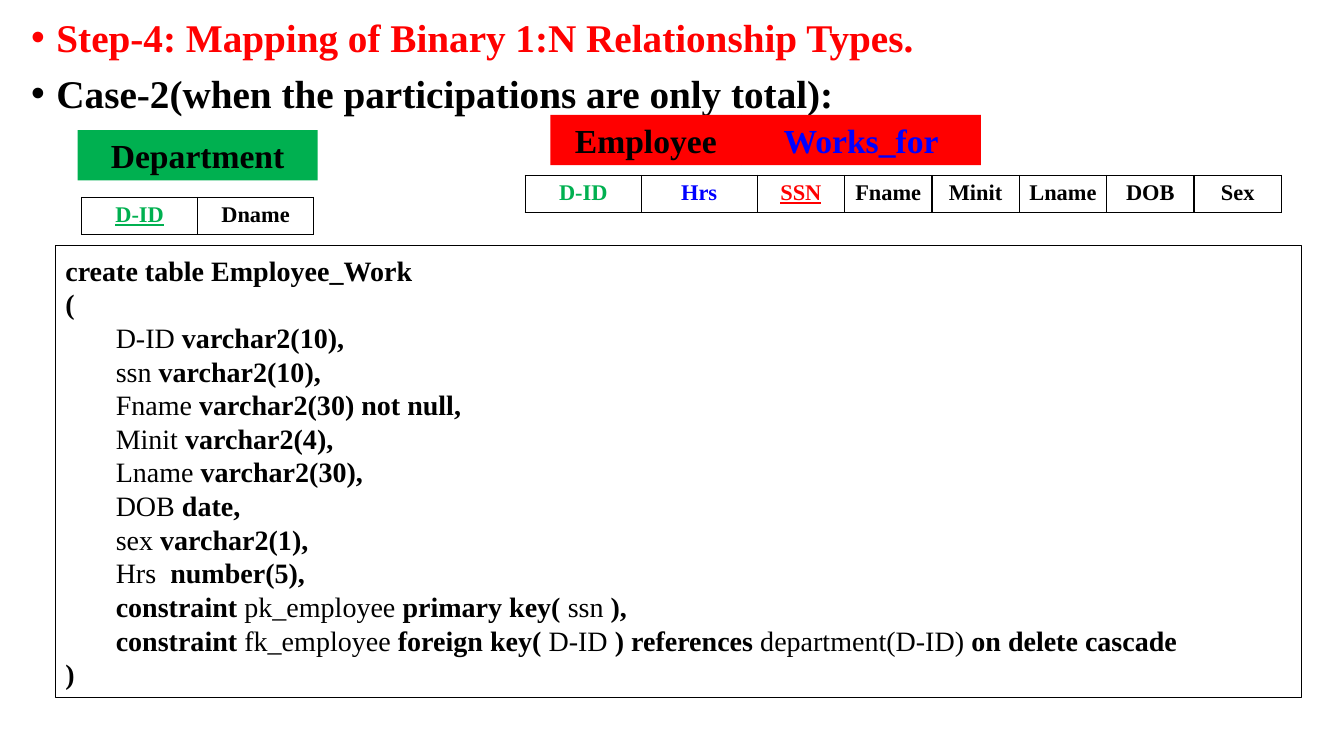
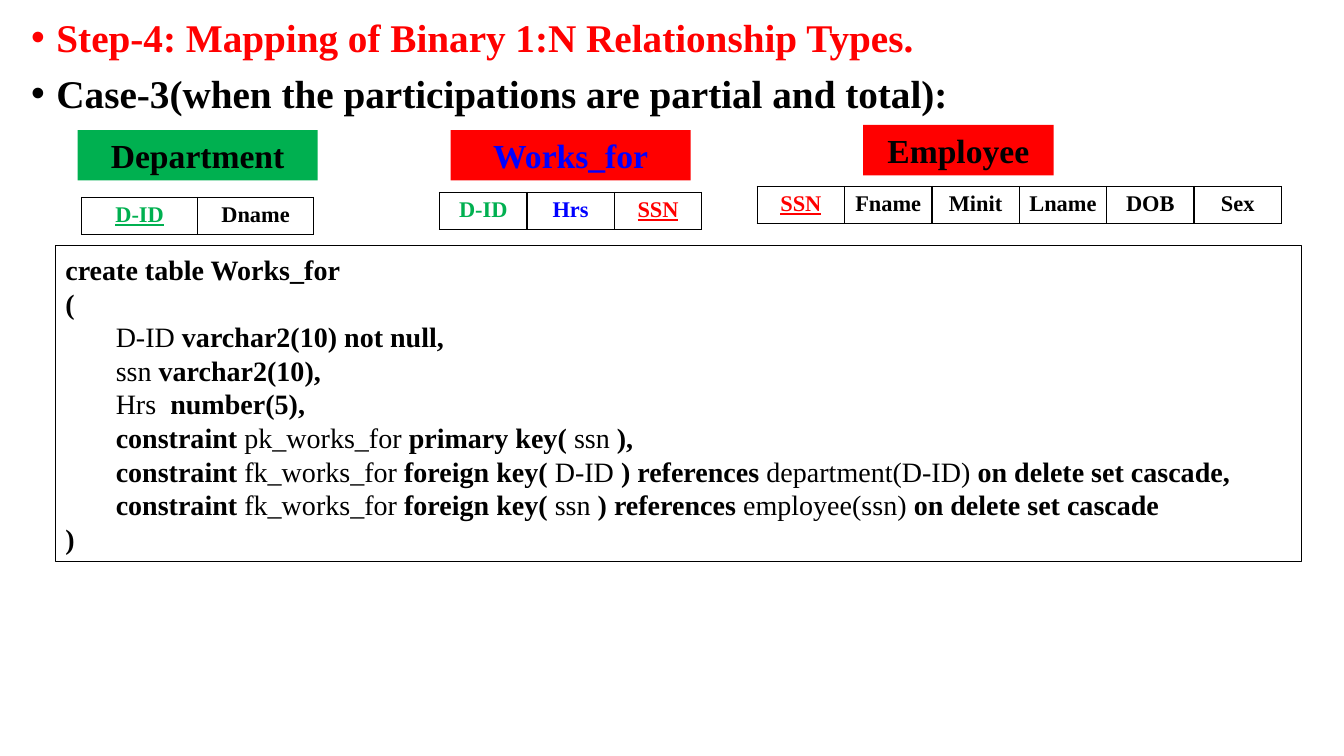
from dataclasses import dataclass

from lxml import etree
from pptx import Presentation
from pptx import util as u
from pptx.dml.color import RGBColor as Hue
from pptx.enum import shapes, text
from pptx.oxml import ns


# Theme: colours, font and type sizes
@dataclass(frozen=True)
class Theme:
    face: str = "Times New Roman"
    black: Hue = Hue(0, 0, 0)
    red: Hue = Hue(255, 0, 0)
    green: Hue = Hue(0, 176, 80)
    blue: Hue = Hue(0, 0, 255)
    head: int = 28
    label: int = 24
    code: int = 20
    cell: int = 16


T = Theme()
HUES = {"D-ID": T.green, "Hrs": T.blue, "SSN": T.red, "Works_for": T.blue}
STEP = "Step-4: Mapping of Binary 1:N Relationship Types."
STAFF = ["SSN", "Fname", "Minit", "Lname", "DOB", "Sex"]
DEPT = ["D-ID", "Dname"]

# Code lines: "|" switches between plain and bold
WORKER = [
    "D-ID| varchar2(10),",
    "ssn |varchar2(10),",
    "Fname| varchar2(30) not null,",
    "Minit| varchar2(4),",
    "Lname| varchar2(30),",
    "DOB| date,",
    "sex| varchar2(1),",
    "Hrs | number(5),",
    "|constraint |pk_employee| primary key( |ssn| ),",
    "|constraint |fk_employee| foreign key( |D-ID| ) references "
    "|department(D-ID)| on delete cascade",
]
WORKS = [
    "D-ID| varchar2(10) not null,",
    "ssn |varchar2(10),",
    "Hrs  |number(5),",
    "|constraint |pk_works_for |primary key( |ssn| ),",
    "|constraint |fk_works_for |foreign key( |D-ID| ) references "
    "|department(D-ID)| on delete set cascade,",
    "|constraint |fk_works_for |foreign key( |ssn |) references "
    "|employee(ssn) |on delete set cascade",
]


# Shared helpers
def put(obj, **vals):
    for name, val in vals.items():
        setattr(obj, name, val)


def write(para, words, size, hue=T.black, bold=True, line=False):
    run = para.add_run()
    run.text = words
    put(run.font, name=T.face, size=u.Pt(size), bold=bold, underline=line)
    run.font.color.rgb = hue


def inch(*nums):
    return [u.Inches(n) for n in nums]


def indent(para, left, hang=0):
    props = para._p.get_or_add_pPr()
    props.set("marL", str(u.Inches(left)))
    props.set("indent", str(u.Inches(hang)))
    return props


def add_box(slide, *place):
    box = slide.shapes.add_shape(shapes.MSO_SHAPE.RECTANGLE, *inch(*place))
    box.shadow.inherit = False
    put(box.text_frame, word_wrap=True,
        vertical_anchor=text.MSO_ANCHOR.MIDDLE,
        auto_size=text.MSO_AUTO_SIZE.SHAPE_TO_FIT_TEXT)
    return box


# Bulleted heading in the title placeholder
def add_head(slide, case):
    title = slide.shapes.title
    left, top, width, height = inch(0.21, 0.13, 12.7, 1.1)
    put(title, left=left, top=top, width=width, height=height)
    frame = title.text_frame
    put(frame, word_wrap=True, vertical_anchor=text.MSO_ANCHOR.TOP,
        auto_size=text.MSO_AUTO_SIZE.NONE)
    para = frame.paragraphs[0]
    for words, hue, gap in ((STEP, T.red, 0), (case, T.black, 10)):
        if gap:
            para = frame.add_paragraph()
        props = indent(para, 0.25, -0.25)
        font = etree.SubElement(props, ns.qn("a:buFont"))
        font.set("typeface", "Arial")
        etree.SubElement(props, ns.qn("a:buChar")).set("char", "•")
        put(para, alignment=text.PP_ALIGN.LEFT, line_spacing=0.9,
            space_before=u.Pt(gap))
        write(para, words, T.head, hue)


# Filled name of a relation
def add_label(slide, name, left, top, width=2.38, fill=T.red):
    box = add_box(slide, left, top, width, 0.5)
    box.fill.solid()
    box.fill.fore_color.rgb = fill
    box.line.fill.background()
    para = box.text_frame.paragraphs[0]
    para.alignment = text.PP_ALIGN.CENTER
    write(para, name, T.label, HUES.get(name, T.black))


# One-row table of fields, with the key underlined
def add_row(slide, names, left, top, width, key=None):
    grid = slide.shapes.add_table(
        1, len(names), *inch(left, top, width, 0.37)).table
    put(grid, first_row=False, horz_banding=False)
    for col, name in enumerate(names):
        grid.columns[col].width = u.Inches(width / len(names))
        cell = grid.cell(0, col)
        edge = u.Inches(0.05)
        put(cell, margin_left=edge, margin_right=edge)
        props = cell._tc.get_or_add_tcPr()
        for side in "LRTB":
            line = etree.SubElement(props, ns.qn("a:ln" + side),
                                    w=str(u.Pt(1)))
            fill = etree.SubElement(line, ns.qn("a:solidFill"))
            etree.SubElement(fill, ns.qn("a:srgbClr"), val=str(T.black))
        cell.fill.background()
        para = cell.text_frame.paragraphs[0]
        para.alignment = text.PP_ALIGN.CENTER
        write(para, name, T.cell, HUES.get(name, T.black), line=name == key)


# Framed SQL statement
def add_code(slide, name, lines, height):
    box = add_box(slide, 0.55, 2.44, 12.36, height)
    box.fill.background()
    box.line.color.rgb = T.black
    box.line.width = u.Pt(0.75)
    frame = box.text_frame
    rows = ["|create table " + name, "|(", *lines, "|)"]
    for num, row in enumerate(rows):
        para = frame.add_paragraph() if num else frame.paragraphs[0]
        if 2 <= num < len(rows) - 1:
            para.level = 1
            indent(para, 0.5)
        para.alignment = text.PP_ALIGN.LEFT
        for part, words in enumerate(row.split("|")):
            if words:
                write(para, words, T.code, bold=part % 2 == 1)


# Parts that every slide has
def add_page(deck, case, name, lines, height):
    slide = deck.slides.add_slide(deck.slide_layouts[5])
    add_head(slide, case)
    add_code(slide, name, lines, height)
    add_label(slide, "Department", 0.77, 1.29, fill=T.green)
    add_row(slide, DEPT, 0.81, 1.96, 2.3, key="D-ID")
    return slide


def main():
    deck = Presentation()
    put(deck, slide_width=u.Inches(13.33), slide_height=u.Inches(7.5))

    # Total participation: one merged relation
    page = add_page(deck, "Case-2(when the participations are only total):",
                    "Employee_Work", WORKER, 4.48)
    add_label(page, "Employee", 5.46, 1.14, 1.89)
    add_label(page, "Works_for", 7.35, 1.14)
    add_row(page, ["D-ID", "Hrs"], 5.21, 1.74, 2.3)
    add_row(page, STAFF, 7.51, 1.74, 5.2, key="SSN")

    # Partial and total participation: three relations
    page = add_page(deck,
                    "Case-3(when the participations are partial and total):",
                    "Works_for", WORKS, 3.13)
    add_label(page, "Works_for", 4.47, 1.29)
    add_label(page, "Employee", 8.56, 1.24, 1.89)
    add_row(page, ["D-ID", "Hrs", "SSN"], 4.36, 1.91, 2.6, key="SSN")
    add_row(page, STAFF, 7.51, 1.85, 5.2, key="SSN")

    deck.save("out.pptx")


if __name__ == "__main__":
    main()
